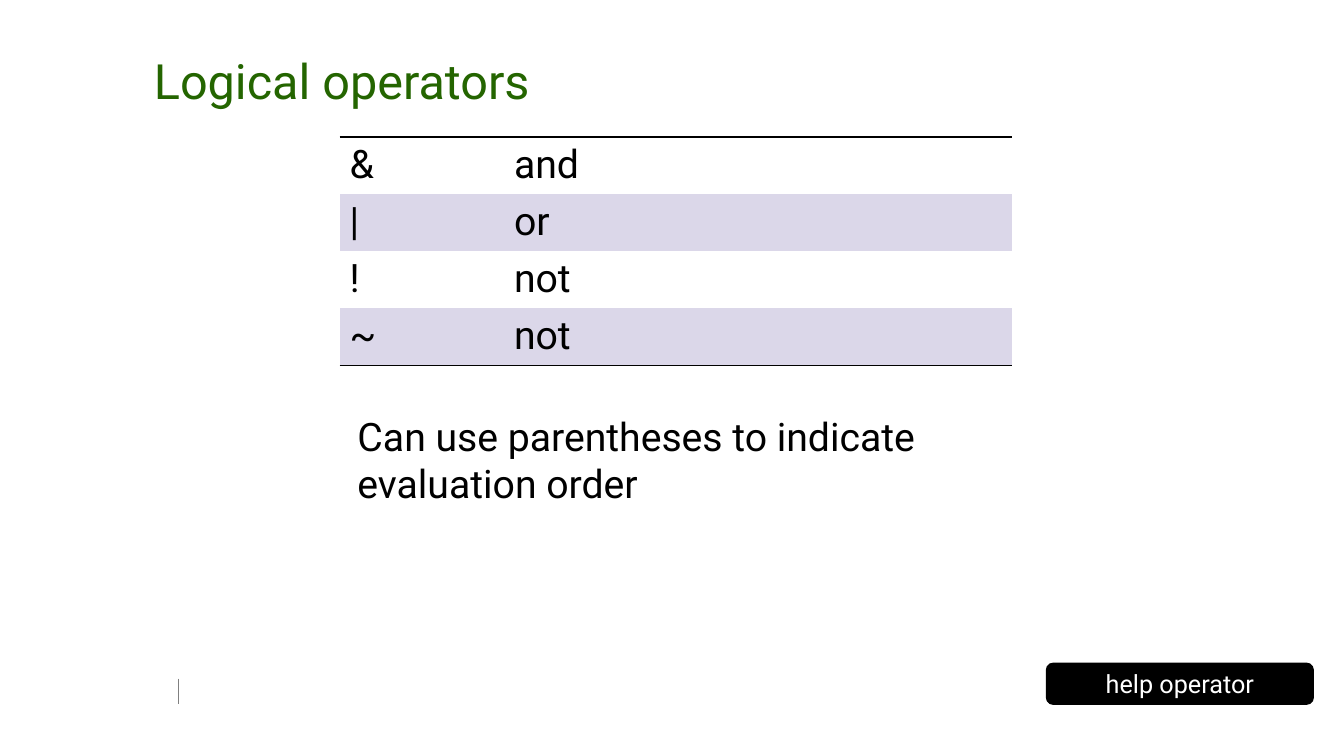
from dataclasses import dataclass

from lxml import etree
from pptx import Presentation
from pptx.dml.color import RGBColor
from pptx.enum.shapes import MSO_SHAPE
from pptx.enum.text import MSO_ANCHOR, PP_ALIGN
from pptx.oxml import parse_xml
from pptx.oxml.ns import qn
from pptx.util import Cm, Pt

ROUND = MSO_SHAPE.ROUNDED_RECTANGLE
MIDDLE = MSO_ANCHOR.MIDDLE
CENTER = PP_ALIGN.CENTER

TITLE = "Logical operators"
ROWS = [("&", "and"), ("|", "or"), ("!", "not"), ("~", "not")]
NOTE = "Can use parentheses to indicate \vevaluation order"
HELP = "help operator"


@dataclass
class Theme:
    face: str = "Roboto"
    green: str = "246500"
    black: str = "000000"
    white: str = "FFFFFF"
    gray: str = "808080"
    band: str = "DBD7E9"
    head: float = 34.7
    body: float = 28
    small: float = 18
    plain: str = "{2D5ABB26-0587-4C30-8999-92F81FD0307C}"


THEME = Theme()
COLS = (4.14, 12.8)
ROW = 1.41


def color(code):
    return RGBColor.from_string(code)


def write(frame, text, size, code):
    para = frame.paragraphs[0]
    para.text = text
    font = para.font
    font.name, font.size = THEME.face, Pt(size)
    font.color.rgb = color(code)
    return para


def label(slide, box, text, size, code):
    frame = slide.shapes.add_textbox(*map(Cm, box)).text_frame
    frame.word_wrap = True
    write(frame, text, size, code)


def border(cell, side):
    line = parse_xml(
        '<a:%s xmlns:a="http://schemas.openxmlformats.org/drawingml/2006/main" w="%d">'
        '<a:solidFill><a:srgbClr val="%s"/></a:solidFill></a:%s>'
        % (side, Pt(1), THEME.black, side))
    cell._tc.get_or_add_tcPr().insert(0, line)


def add_grid(slide):
    size = (sum(COLS), ROW * len(ROWS))
    grid = slide.shapes.add_table(
        len(ROWS), len(COLS), Cm(8.56), Cm(3.45), *map(Cm, size)).table
    grid.first_row = grid.horz_banding = False
    grid._tbl.tblPr.find(qn("a:tableStyleId")).text = THEME.plain
    for col, width in zip(grid.columns, COLS):
        col.width = Cm(width)
    for r, row in enumerate(ROWS):
        grid.rows[r].height = Cm(ROW)
        for c, text in enumerate(row):
            cell = grid.cell(r, c)
            write(cell.text_frame, text, THEME.body, THEME.black)
            if r % 2:
                cell.fill.solid()
                cell.fill.fore_color.rgb = color(THEME.band)
            else:
                cell.fill.background()
            if r == 0:
                border(cell, "lnT")
            if r == len(ROWS) - 1:
                border(cell, "lnB")


def add_mark(slide):
    mark = slide.shapes.add_connector(1, Cm(4.49), Cm(17.1), Cm(4.49), Cm(17.75))
    mark.line.color.rgb = color(THEME.gray)
    mark.line.width = Pt(0.25)
    etree.SubElement(mark._element.spPr, qn("a:effectLst"))


def add_help(slide):
    tag = slide.shapes.add_shape(ROUND, Cm(26.37), Cm(16.71), Cm(6.73), Cm(1.04))
    tag.shadow.inherit = False
    tag.fill.solid()
    tag.fill.fore_color.rgb = color(THEME.black)
    tag.line.color.rgb = color(THEME.black)
    tag.line.width = Pt(0.75)
    tag.text_frame.vertical_anchor = MIDDLE
    write(tag.text_frame, HELP, THEME.small, THEME.white).alignment = CENTER


def main():
    deck = Presentation()
    deck.slide_width, deck.slide_height = Cm(33.87), Cm(19.05)
    slide = deck.slides.add_slide(deck.slide_layouts[6])
    add_mark(slide)
    label(slide, (3.63, 1.17, 21.62, 1.73), TITLE, THEME.head, THEME.green)
    add_grid(slide)
    label(slide, (8.76, 10.26, 15.11, 2.64), NOTE, THEME.body, THEME.black)
    add_help(slide)
    deck.save("out.pptx")


if __name__ == "__main__":
    main()
